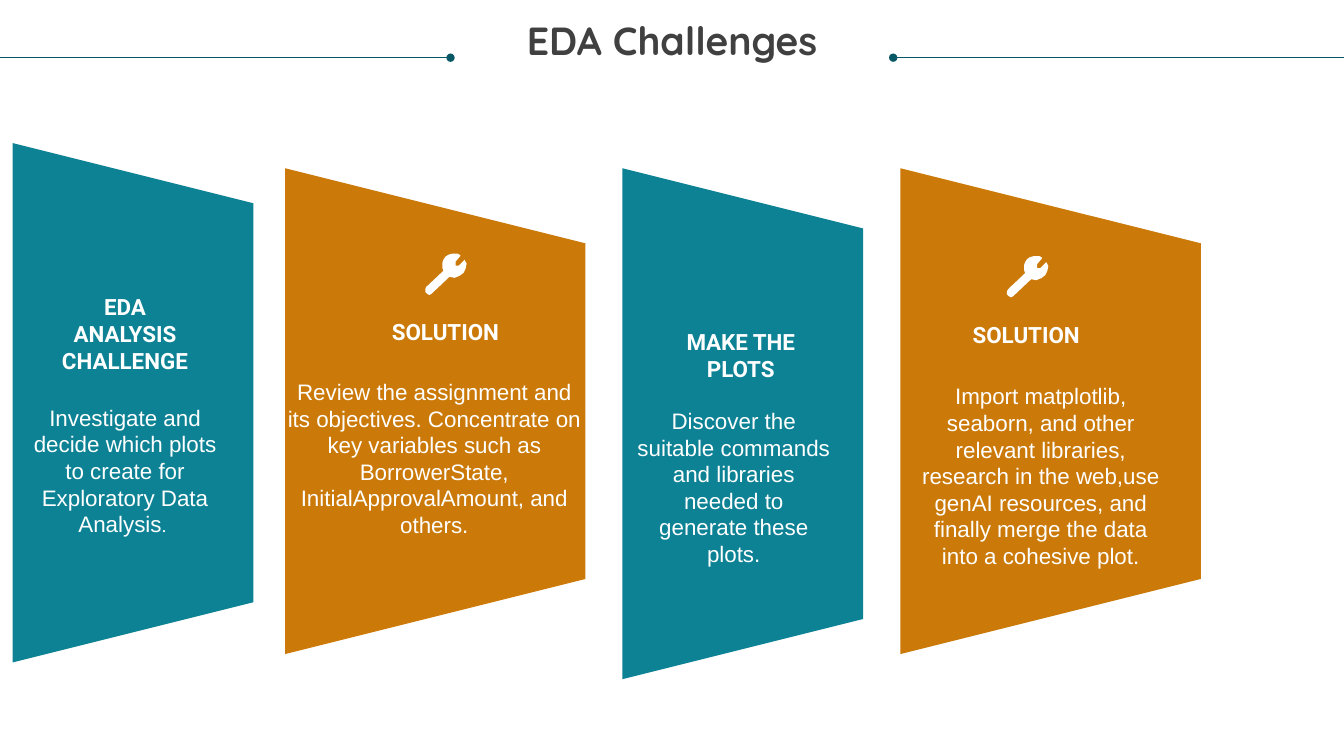
from dataclasses import dataclass

from lxml import etree
from pptx import Presentation
from pptx.dml.color import RGBColor
from pptx.enum.shapes import MSO_CONNECTOR, MSO_SHAPE
from pptx.enum.text import MSO_ANCHOR, MSO_AUTO_SIZE, PP_ALIGN
from pptx.oxml.ns import qn
from pptx.util import Pt

STRAIGHT = MSO_CONNECTOR.STRAIGHT
TRAPEZOID = MSO_SHAPE.TRAPEZOID
CENTER = PP_ALIGN.CENTER
TOP = MSO_ANCHOR.TOP
NO_FIT = MSO_AUTO_SIZE.NONE

WIDTH, HEIGHT = 960, 540
RULE_Y = 41.2
WRENCH = [(39, 6), (33, 12), (30, 12), (30, 8), (35, 2), (34, 1), (32, 0),
          (27, 0), (23, 1), (20, 3), (18, 6), (17, 9), (17, 14), (18, 17),
          (1, 33), (0, 35), (0, 38), (2, 40), (4, 41), (6, 40), (24, 23),
          (29, 24), (34, 22), (38, 19), (40, 15), (41, 10)]


@dataclass(frozen=True)
class Theme:
    teal: str = "0D8295"
    orange: str = "CB7A09"
    rule: str = "085764"
    title: str = "404040"
    white: str = "FFFFFF"
    title_font: str = "Quicksand"
    head_font: str = "Roboto"
    body_font: str = "Arial"
    title_size: int = 28
    text_size: int = 16
    stop_size: int = 14
    line_height: int = 19


class Deck:
    def __init__(self, prs, theme):
        self.theme = theme
        self.s = prs.slides.add_slide(prs.slide_layouts[5])

    def fill(self, sp, color):
        sp.shadow.inherit = False
        sp.fill.solid()
        sp.fill.fore_color.rgb = RGBColor.from_string(color)
        sp.line.fill.background()

    def run(self, p, text, font, size, color, bold=False):
        r = p.add_run()
        r.text = text
        r.font.name = font
        r.font.size = Pt(size)
        r.font.bold = bold
        r.font.color.rgb = RGBColor.from_string(color)

    def frame(self, sp):
        tf = sp.text_frame
        tf.word_wrap = True
        tf.auto_size = NO_FIT
        tf.vertical_anchor = TOP
        tf.margin_left = tf.margin_top = tf.margin_right = tf.margin_bottom = 0
        tf.paragraphs[0].alignment = CENTER
        return tf

    def title(self, text, x, y, w, h):
        t = self.theme
        sp = self.s.shapes.title
        sp.left, sp.top, sp.width, sp.height = Pt(x), Pt(y), Pt(w), Pt(h)
        p = self.frame(sp).paragraphs[0]
        p.line_spacing = 0.9
        self.run(p, text, t.title_font, t.title_size, t.title, True)

    def rule(self, x1, x2, y):
        c = self.s.shapes.add_connector(STRAIGHT, Pt(x1), Pt(y), Pt(x2), Pt(y))
        c.line.width = Pt(0.5)
        c.line.color.rgb = RGBColor.from_string(self.theme.rule)
        etree.SubElement(c.line._get_or_add_ln(), qn("a:tailEnd"), type="oval")
        etree.SubElement(c._element.spPr, qn("a:effectLst"))

    def panel(self, x, y, w, h, color):
        sp = self.s.shapes.add_shape(TRAPEZOID, Pt(x + (w - h) / 2),
                                     Pt(y + (h - w) / 2), Pt(h), Pt(w))
        sp.rotation = 90
        sp.adjustments[0] = 0.25
        self.fill(sp, color)

    def heading(self, lines, x, y):
        t = self.theme
        sp = self.s.shapes.add_textbox(Pt(x), Pt(y), Pt(108), Pt(58))
        tf = self.frame(sp)
        for i, line in enumerate(lines):
            p = tf.add_paragraph() if i else tf.paragraphs[0]
            p.alignment = CENTER
            self.run(p, line, t.head_font, t.text_size, t.white, True)

    def body(self, text, x, y, w, h, stop=""):
        t = self.theme
        sp = self.s.shapes.add_textbox(Pt(x), Pt(y), Pt(w), Pt(h))
        p = self.frame(sp).paragraphs[0]
        p.line_spacing = Pt(t.line_height)
        self.run(p, text, t.body_font, t.text_size, t.white)
        if stop:
            self.run(p, stop, t.head_font, t.stop_size, t.white)

    def wrench(self, x, y):
        fb = self.s.shapes.build_freeform(*WRENCH[0], scale=Pt(0.72))
        fb.add_line_segments(WRENCH[1:], close=True)
        self.fill(fb.convert_to_shape(Pt(x), Pt(y)), self.theme.white)


def main():
    prs = Presentation()
    prs.slide_width, prs.slide_height = Pt(WIDTH), Pt(HEIGHT)
    t = Theme()
    d = Deck(prs, t)

    d.title("EDA Challenges", 18, 15.1, 924, 61)
    d.rule(0, 321.8, RULE_Y)
    d.rule(WIDTH, 638, RULE_Y)

    d.panel(9, 102.2, 172, 371, t.teal)
    d.panel(203.7, 120.2, 214.5, 347, t.orange)
    d.panel(444.5, 120.2, 172, 365, t.teal)
    d.panel(643.2, 120.2, 214.5, 347, t.orange)

    d.heading(["EDA", "ANALYSIS CHALLENGE"], 35.3, 209.5)
    d.heading(["SOLUTION"], 264.2, 227.5)
    d.heading(["MAKE THE PLOTS"], 475.2, 234.7)
    d.heading(["SOLUTION"], 679, 229.7)

    d.body("Investigate and decide which plots to create for Exploratory "
           "Data Analysis", 20.2, 288.7, 138.2, 96, stop=". ")
    d.body("Review the assignment and its objectives. Concentrate on key "
           "variables such as BorrowerState, InitialApprovalAmount, and "
           "others.", 203, 270.3, 214.5, 115)
    d.body("Discover the suitable commands and libraries needed to generate "
           "these plots.", 455, 291, 138.2, 115)
    d.body("Import matplotlib, seaborn, and other relevant libraries, "
           "research in the web,use genAI resources, and finally merge the "
           "data into a cohesive plot.", 655.2, 273.4, 176.4, 135)

    d.wrench(303.8, 181.2)
    d.wrench(719.3, 182.9)
    prs.save("out.pptx")


if __name__ == "__main__":
    main()
